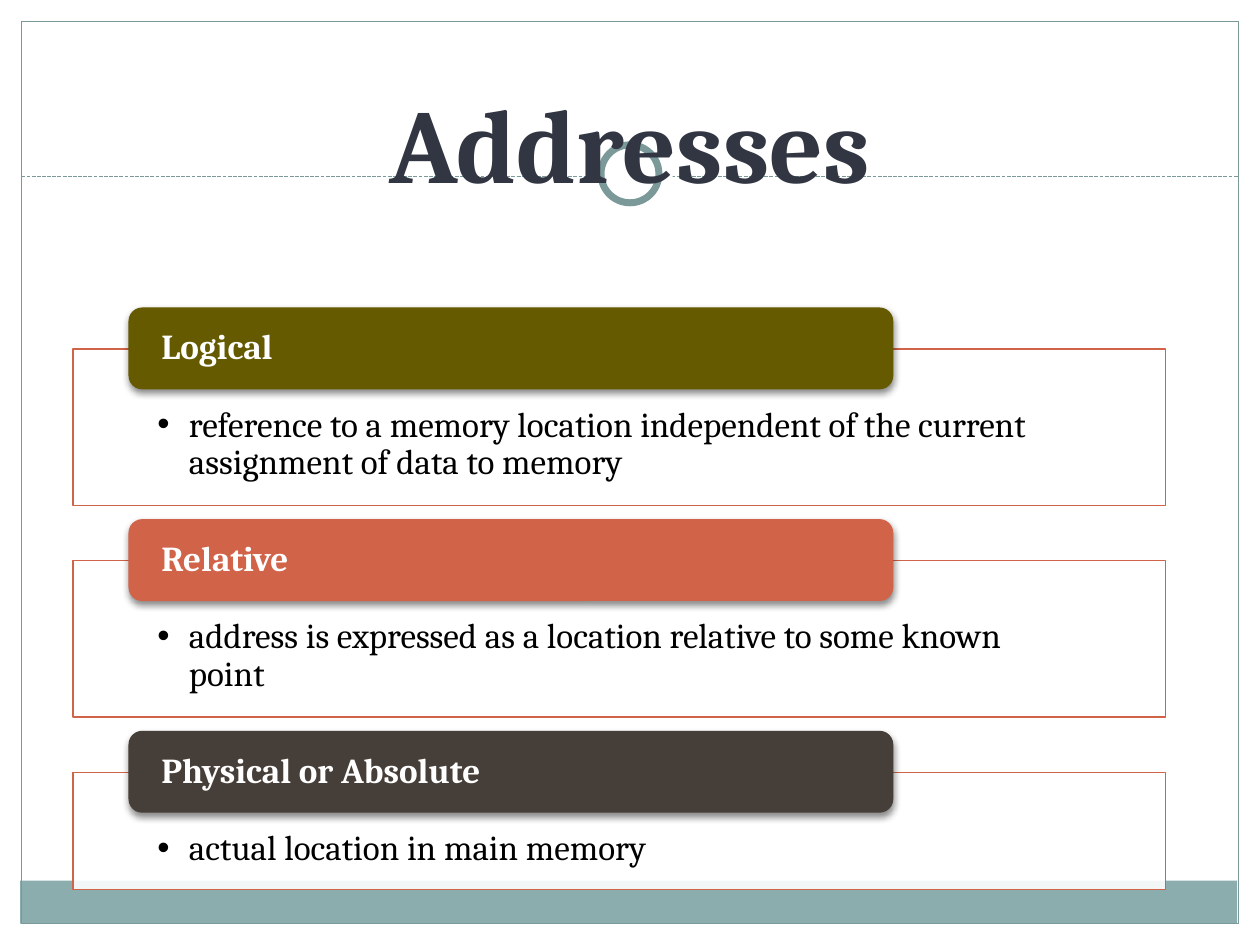
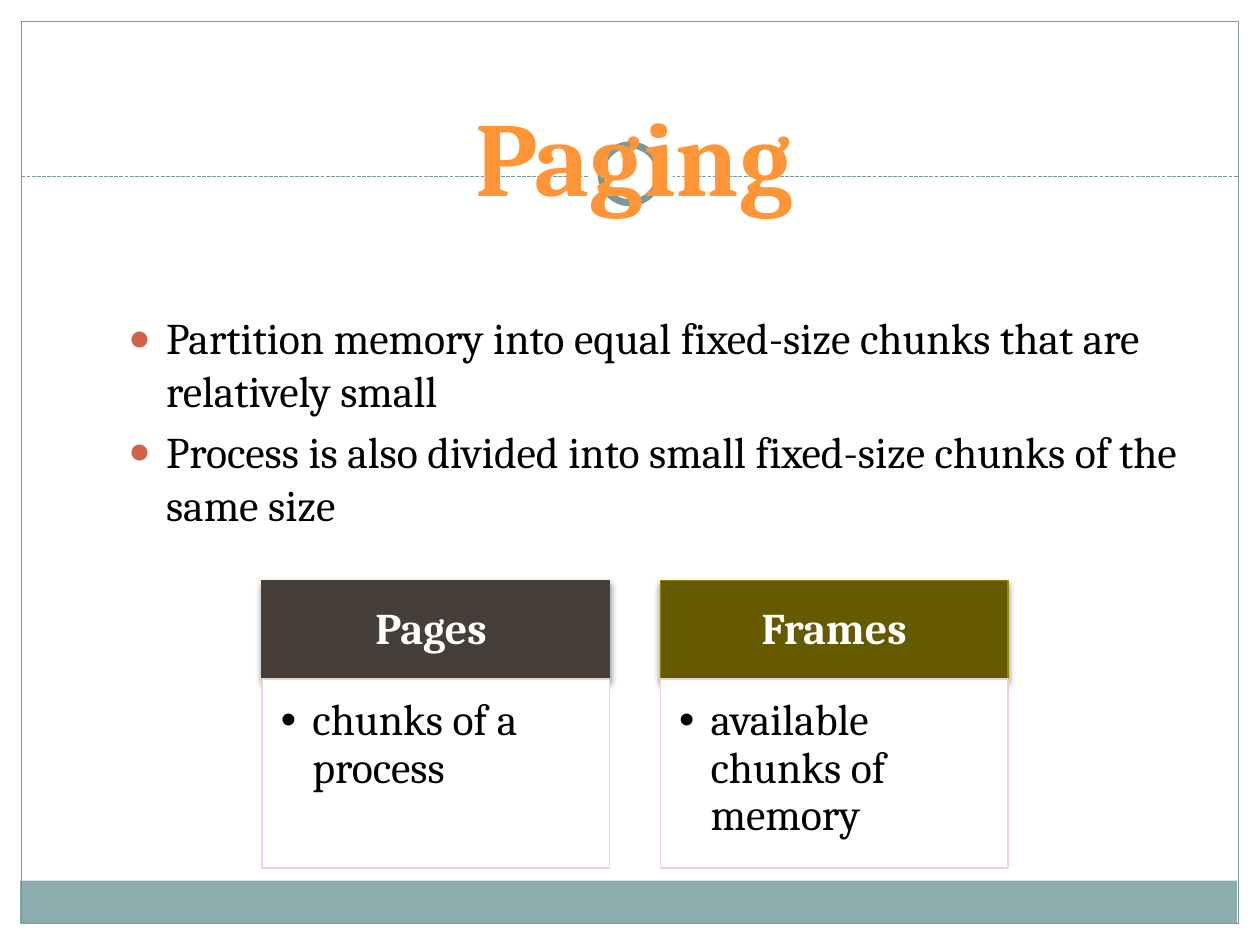
"""Build two slides on memory addresses and paging."""
from dataclasses import dataclass
from typing import Any, NamedTuple, Optional

from lxml import etree
from pptx import Presentation
from pptx import util as u
from pptx.dml.color import RGBColor
from pptx.enum import dml, shapes, text
from pptx.oxml import ns

KIND = shapes.MSO_SHAPE
ALIGN = text.PP_ALIGN
ANCHOR = text.MSO_ANCHOR


@dataclass(frozen=True)
class Theme:
    font: str = "Cambria"
    white: str = "FFFFFF"
    black: str = "000000"
    band: str = "8CADAE"
    rule: str = "7C999A"
    navy: str = "323643"
    orange: str = "FF9537"
    olive: str = "665A00"
    olive_edge: str = "998700"
    coral: str = "D16349"
    brown: str = "463E38"
    blush: str = "EED3D0"
    title_size: int = 60
    address_size: int = 20
    paging_size: int = 25
    thin: float = 0.75
    ring: float = 4


class Box(NamedTuple):
    left: float
    top: float
    width: float
    height: float


class Address(NamedTuple):
    name: str
    meaning: str
    color: str
    height: float


class Chunk(NamedTuple):
    name: str
    meaning: str
    color: str
    edge: str


T = Theme()

ADDRESSES = [
    Address("Logical", "reference to a memory location independent of the "
            "current assignment of data to memory", T.olive, 1.24),
    Address("Relative", "address is expressed as a location relative to some "
            "known point", T.coral, 1.24),
    Address("Physical or Absolute", "actual location in main memory", T.brown, 0.93),
]
PAGING_POINTS = [
    "Partition memory into equal fixed-size chunks that are relatively small",
    "Process is also divided into small fixed-size chunks of the same size",
]
CHUNKS = [
    Chunk("Pages ", "chunks of a process", T.brown, T.brown),
    Chunk("Frames", "available chunks of memory", T.olive, T.olive_edge),
]


def rgb(color: str) -> RGBColor:
    return RGBColor.from_string(color)


def apply(obj: Any, values: dict[str, Any]) -> None:
    for name, value in values.items():
        setattr(obj, name, value)


def place(box: Box) -> dict[str, Any]:
    return {name: u.Inches(value) for name, value in box._asdict().items()}


def sub(parent: Any, tag: str, **attrs: Any) -> Any:
    values = {name: str(value) for name, value in attrs.items()}
    return etree.SubElement(parent, ns.qn(f"a:{tag}"), values)


def add_box(s: Any, kind: Any, box: Box, fill: Optional[str] = None,
            line: Optional[str] = None, weight: float = T.thin) -> Any:
    sp = s.shapes.add_shape(kind, *place(box).values())
    sp.shadow.inherit = False
    if fill:
        sp.fill.solid()
        sp.fill.fore_color.rgb = rgb(fill)
    else:
        sp.fill.background()
    if line:
        sp.line.color.rgb = rgb(line)
        sp.line.width = u.Pt(weight)
    else:
        sp.line.fill.background()
    return sp


def add_drop_shadow(sp: Any) -> None:
    effects = sp.element.spPr.find(ns.qn("a:effectLst"))
    shadow = sub(effects, "outerShdw", blurRad=u.Pt(4), dist=u.Pt(2),
                 dir=5400000, rotWithShape=0)
    sub(sub(shadow, "srgbClr", val=T.black), "alpha", val=45000)


def set_opacity(sp: Any, percent: int) -> None:
    color = sp.element.spPr.find(ns.qn("a:solidFill"))[0]
    sub(color, "alpha", val=percent * 1000)


def add_bullet(p: Any, char: str, indent: float, color: str, percent: int = 100) -> None:
    pPr = p._p.get_or_add_pPr()
    apply_indent = {"marL": u.Inches(indent), "indent": -u.Inches(indent)}
    for name, value in apply_indent.items():
        pPr.set(name, str(value))
    sub(sub(pPr, "buClr"), "srgbClr", val=color)
    sub(pPr, "buSzPct", val=percent * 1000)
    sub(pPr, "buFont", typeface="Arial")
    sub(pPr, "buChar", char=char)


def setup_frame(tf: Any, anchor: Any, insets: tuple[float, ...]) -> None:
    sides = ("margin_left", "margin_top", "margin_right", "margin_bottom")
    apply(tf, {"word_wrap": True, "auto_size": text.MSO_AUTO_SIZE.NONE,
               "vertical_anchor": anchor})
    apply(tf, dict(zip(sides, map(u.Inches, insets))))


def write(p: Any, words: str, size: float, color: str, bold: bool = False,
          **layout: Any) -> None:
    r = p.add_run()
    r.text = words
    apply(r.font, {"name": T.font, "size": u.Pt(size), "bold": bold})
    r.font.color.rgb = rgb(color)
    apply(p, layout)


def write_heading(sp: Any, words: str, size: float, align: Any,
                  insets: tuple[float, ...]) -> None:
    setup_frame(sp.text_frame, ANCHOR.MIDDLE, insets)
    write(sp.text_frame.paragraphs[0], words, size, T.white, True,
          alignment=align, line_spacing=0.9)


def write_meaning(sp: Any, words: str, size: float, insets: tuple[float, ...]) -> None:
    setup_frame(sp.text_frame, ANCHOR.TOP, insets)
    p = sp.text_frame.paragraphs[0]
    write(p, words, size, T.black, alignment=ALIGN.LEFT, line_spacing=0.9)
    add_bullet(p, "•", 0.25, T.black)


def add_frame(prs: Any, layout: Any) -> None:
    for ph in list(layout.placeholders)[1:]:
        ph.element.getparent().remove(ph.element)
    s = prs.slides[0]
    band = add_box(s, KIND.RECTANGLE, Box(0.16, 6.99, 9.66, 0.34), T.band)
    border = add_box(s, KIND.RECTANGLE, Box(0.17, 0.17, 9.66, 7.16), line=T.rule)
    rule = s.shapes.add_connector(shapes.MSO_CONNECTOR.STRAIGHT, u.Inches(0.17),
                                  u.Inches(1.4), u.Inches(9.83), u.Inches(1.4))
    rule.line.color.rgb = rgb(T.rule)
    apply(rule.line, {"width": u.Pt(T.thin), "dash_style": dml.MSO_LINE.SQUARE_DOT})
    sub(rule.element.spPr, "effectLst")
    disc = add_box(s, KIND.OVAL, Box(4.67, 1.05, 0.67, 0.67), T.white)
    ring = add_box(s, KIND.OVAL, Box(4.77, 1.15, 0.46, 0.46), T.white, T.rule, T.ring)
    for sp in (band, border, rule, disc, ring):
        layout.shapes.element.append(sp.element)


def set_title(s: Any, words: str, box: Box, color: str) -> None:
    sp = s.shapes.title
    apply(sp, place(box))
    setup_frame(sp.text_frame, ANCHOR.BOTTOM, (0.1, 0.05, 0.1, 0.05))
    write(sp.text_frame.paragraphs[0], words, T.title_size, color, True,
          alignment=ALIGN.CENTER)


def fill_addresses(s: Any) -> None:
    set_title(s, "Addresses", Box(0.72, 0.5, 8.56, 1.17), T.navy)
    for i, item in enumerate(ADDRESSES):
        top = 2.44 + 1.68 * i
        body = add_box(s, KIND.RECTANGLE, Box(0.58, top + 0.33, 8.67, item.height),
                       T.white, T.coral)
        set_opacity(body, 90)
        write_meaning(body, item.meaning, T.address_size, (0.67, 0.46, 0.67, 0.16))
        label = add_box(s, KIND.ROUNDED_RECTANGLE, Box(1.02, top, 6.07, 0.65), item.color)
        add_drop_shadow(label)
        write_heading(label, item.name, T.address_size, ALIGN.LEFT, (0.23, 0, 0.23, 0))


def fill_paging(s: Any) -> None:
    set_title(s, "Paging", Box(0.75, 0.33, 8.56, 1.45), T.orange)
    tf = s.shapes.add_textbox(*place(Box(0.92, 2.42, 9.08, 2.1)).values()).text_frame
    setup_frame(tf, ANCHOR.TOP, (0.1, 0.05, 0.1, 0.05))
    for i, point in enumerate(PAGING_POINTS):
        p = tf.add_paragraph() if i else tf.paragraphs[0]
        write(p, point, T.paging_size, T.black, space_before=u.Pt(5))
        add_bullet(p, "●", 0.3, T.coral, 85)
    for i, chunk in enumerate(CHUNKS):
        left = 2.08 + 3.16 * i
        head = add_box(s, KIND.RECTANGLE, Box(left, 4.61, 2.76, 0.79),
                       chunk.color, chunk.edge)
        add_drop_shadow(head)
        write_heading(head, chunk.name, T.paging_size, ALIGN.CENTER,
                      (0.19, 0.11, 0.19, 0.11))
        body = add_box(s, KIND.RECTANGLE, Box(left, 5.39, 2.76, 1.5), T.white, T.blush)
        write_meaning(body, chunk.meaning, T.paging_size, (0.15, 0.15, 0.19, 0.22))


def main() -> None:
    prs = Presentation()
    apply(prs, {"slide_width": u.Inches(10), "slide_height": u.Inches(7.5)})
    layout = prs.slide_layouts.get_by_name("Title Only")
    addresses, paging = (prs.slides.add_slide(layout) for _ in range(2))
    add_frame(prs, layout)
    fill_addresses(addresses)
    fill_paging(paging)
    prs.save("out.pptx")


if __name__ == "__main__":
    main()
